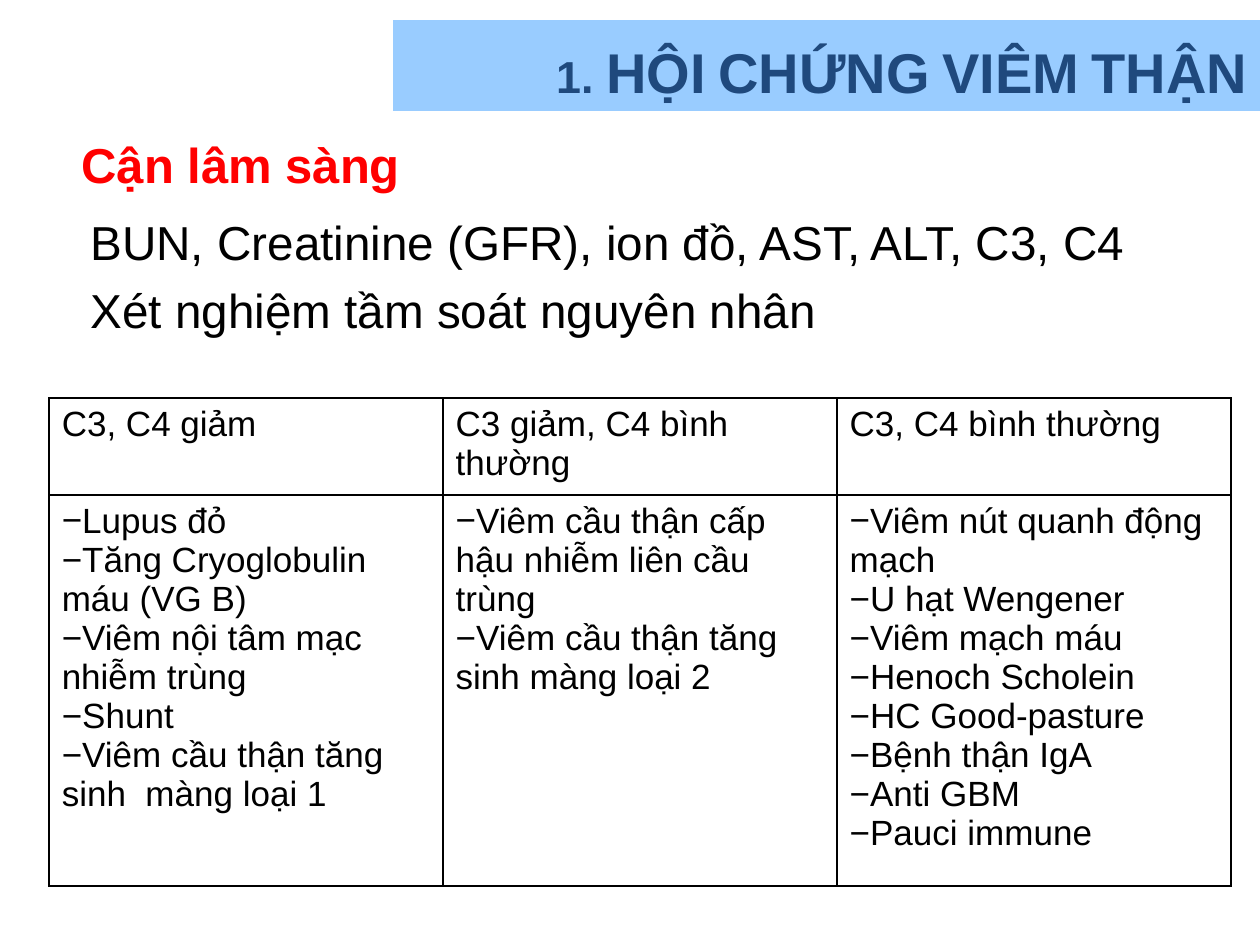
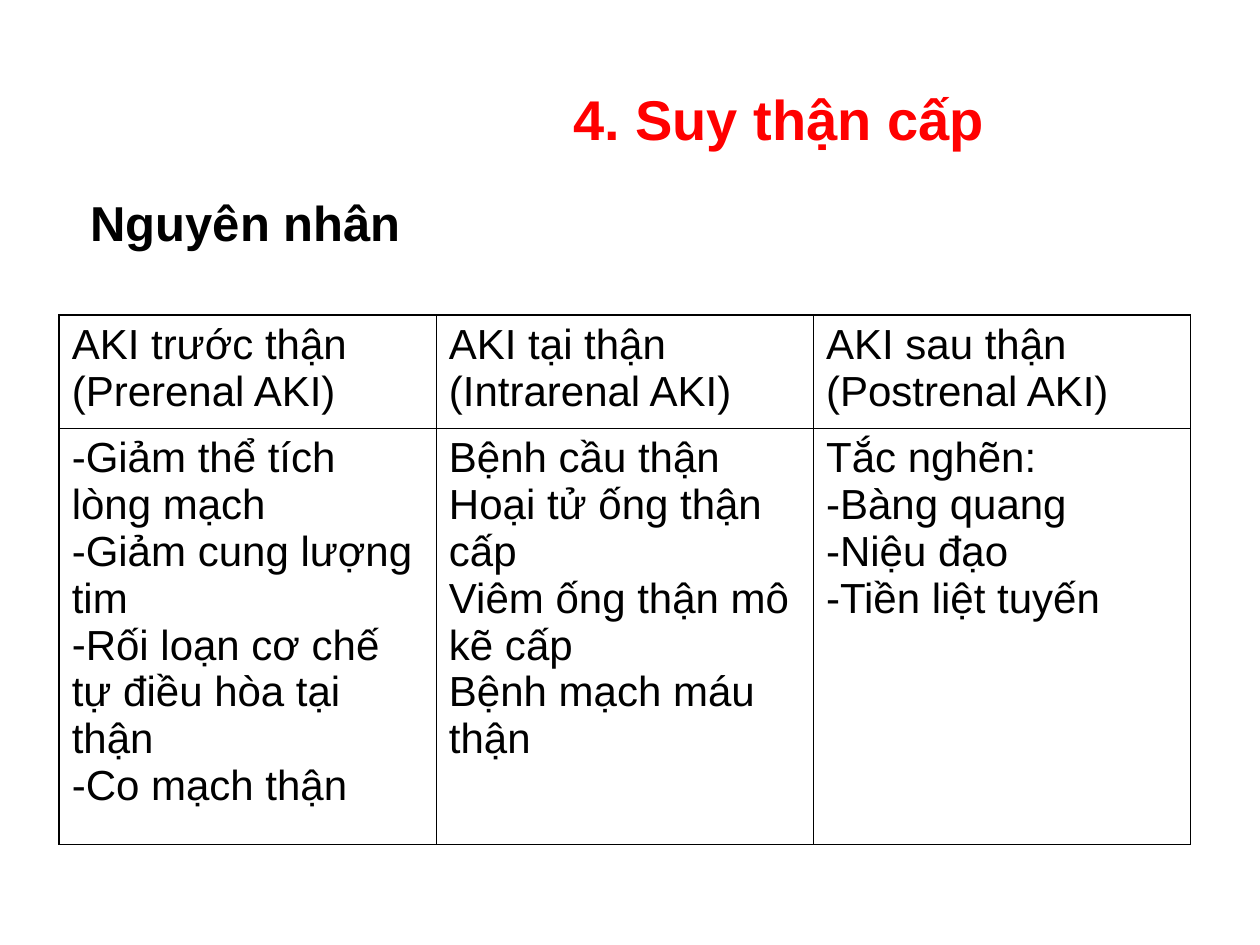
from lxml import etree
from pptx import Presentation
from pptx.dml.color import RGBColor
from pptx.enum.shapes import MSO_SHAPE
from pptx.enum.text import MSO_ANCHOR, PP_ALIGN
from pptx.oxml.ns import qn
from pptx.util import Inches, Pt

RECTANGLE = MSO_SHAPE.RECTANGLE
TOP, BOTTOM = MSO_ANCHOR.TOP, MSO_ANCHOR.BOTTOM
LEFT, RIGHT = PP_ALIGN.LEFT, PP_ALIGN.RIGHT
FONT = "Arial"
COLORS = {"band": "99CCFF", "title": "1F497D", "accent": "FF0000", "text": "000000"}
BULLETS = ("−", "-")

COMPLEMENT_ROWS = [
    [["C3, C4 giảm"], ["C3 giảm, C4 bình thường"], ["C3, C4 bình thường"]],
    [
        ["−Lupus đỏ", "−Tăng Cryoglobulin máu (VG B)", "−Viêm nội tâm mạc nhiễm trùng",
         "−Shunt", "−Viêm cầu thận tăng sinh  màng loại 1"],
        ["−Viêm cầu thận cấp hậu nhiễm liên cầu trùng",
         "−Viêm cầu thận tăng sinh màng loại 2"],
        ["−Viêm nút quanh động mạch", "−U hạt Wengener", "−Viêm mạch máu",
         "−Henoch Scholein", "−HC Good-pasture", "−Bệnh thận IgA", "−Anti GBM",
         "−Pauci immune"],
    ],
]
CAUSE_ROWS = [
    [["AKI trước thận", "(Prerenal AKI)"], ["AKI tại thận", "(Intrarenal AKI)"],
     ["AKI sau thận", "(Postrenal AKI)"]],
    [
        ["-Giảm thể tích lòng mạch", "-Giảm cung lượng tim",
         "-Rối loạn cơ chế tự điều hòa tại thận", "-Co mạch thận"],
        ["Bệnh cầu thận", "Hoại tử ống thận cấp", "Viêm ống thận mô kẽ cấp",
         "Bệnh mạch máu thận"],
        ["Tắc nghẽn:", "-Bàng quang", "-Niệu đạo", "-Tiền liệt tuyến"],
    ],
]


def color(name):
    """Return the named palette colour."""
    return RGBColor.from_string(COLORS[name])


def add_bullet(paragraph, character):
    """Give a paragraph a bullet that sits directly before its text."""
    properties = paragraph._p.get_or_add_pPr()
    properties.set("marL", "0")
    properties.set("indent", "0")
    etree.SubElement(properties, qn("a:buFont")).set("typeface", FONT)
    etree.SubElement(properties, qn("a:buChar")).set("char", character)


def write_lines(frame, lines, size, color_name="text", bold=False, align=LEFT, gap=0):
    """Write one paragraph per line, turning a leading dash into a bullet."""
    frame.word_wrap = True
    for index, line in enumerate(lines):
        paragraph = frame.paragraphs[0] if index == 0 else frame.add_paragraph()
        if line.startswith(BULLETS):
            add_bullet(paragraph, line[0])
            line = line[1:]
        paragraph.alignment = align
        if index and gap:
            paragraph.space_before = Pt(gap)
        run = paragraph.add_run()
        run.text = line
        run.font.name = FONT
        run.font.size = Pt(size)
        run.font.bold = bold
        run.font.color.rgb = color(color_name)


def add_text(slide, box, lines, size, **style):
    """Add a text box with the given lines."""
    frame = slide.shapes.add_textbox(*map(Inches, box)).text_frame
    frame.vertical_anchor = TOP
    write_lines(frame, lines, size, **style)


def add_title_band(slide, box, title):
    """Add the coloured band holding a right-aligned small-caps title."""
    band = slide.shapes.add_shape(RECTANGLE, *map(Inches, box))
    band.shadow.inherit = False
    band.fill.solid()
    band.fill.fore_color.rgb = color("band")
    band.line.fill.background()
    frame = band.text_frame
    frame.vertical_anchor = BOTTOM
    write_lines(frame, [title], 32, "title", bold=True, align=RIGHT)
    frame.paragraphs[0].runs[0].font._element.set("cap", "small")


def add_borders(cell):
    """Draw a one-point line on each side of a cell."""
    properties = cell._tc.get_or_add_tcPr()
    for index, side in enumerate(("lnL", "lnR", "lnT", "lnB")):
        line = etree.Element(qn(f"a:{side}"), w=str(Pt(1)))
        fill = etree.SubElement(line, qn("a:solidFill"))
        etree.SubElement(fill, qn("a:srgbClr")).set("val", COLORS["text"])
        properties.insert(index, line)


def add_grid(slide, box, header_height, rows, size):
    """Add a bordered table with equal columns, a header row and a body row."""
    left, top, width, height = map(Inches, box)
    columns = len(rows[0])
    table = slide.shapes.add_table(len(rows), columns, left, top, width, height).table
    table.first_row = False
    table.horz_banding = False
    for column in table.columns:
        column.width = width // columns
    table.rows[0].height = Inches(header_height)
    table.rows[1].height = height - Inches(header_height)
    for row_index, row in enumerate(rows):
        for column_index, lines in enumerate(row):
            cell = table.cell(row_index, column_index)
            cell.fill.background()
            add_borders(cell)
            write_lines(cell.text_frame, lines, size)


def build_nephritis_slide(slide):
    """Build the laboratory findings slide for nephritic syndrome."""
    add_text(slide, (0.62, 1.64, 9.03, 1.17),
             ["BUN, Creatinine (GFR), ion đồ, AST, ALT, C3, C4",
              "Xét nghiệm tầm soát nguyên nhân"], 27.2, gap=6.5)
    add_title_band(slide, (3.12, 0.16, 6.88, 0.72), "1. HỘI CHỨNG VIÊM THẬN")
    add_text(slide, (0.55, 1.02, 3.13, 0.57), ["Cận lâm sàng"], 28,
             color_name="accent", bold=True)
    add_grid(slide, (0.39, 3.16, 9.38, 3.87), 0.77, COMPLEMENT_ROWS, 20)


def build_kidney_injury_slide(slide):
    """Build the slide on the causes of acute kidney injury."""
    add_grid(slide, (0.47, 2.5, 8.98, 3.91), 0.84, CAUSE_ROWS, 24)
    add_text(slide, (4.45, 0.62, 5.31, 0.64), ["4. Suy thận cấp"], 32,
             color_name="accent", bold=True)
    add_text(slide, (0.62, 1.48, 3.91, 0.57), ["Nguyên nhân"], 28, bold=True)


def main():
    """Build and save the presentation."""
    presentation = Presentation()
    presentation.slide_width = Inches(10)
    presentation.slide_height = Inches(7.5)
    for build in (build_nephritis_slide, build_kidney_injury_slide):
        build(presentation.slides.add_slide(presentation.slide_layouts[6]))
    presentation.save("out.pptx")


if __name__ == "__main__":
    main()
